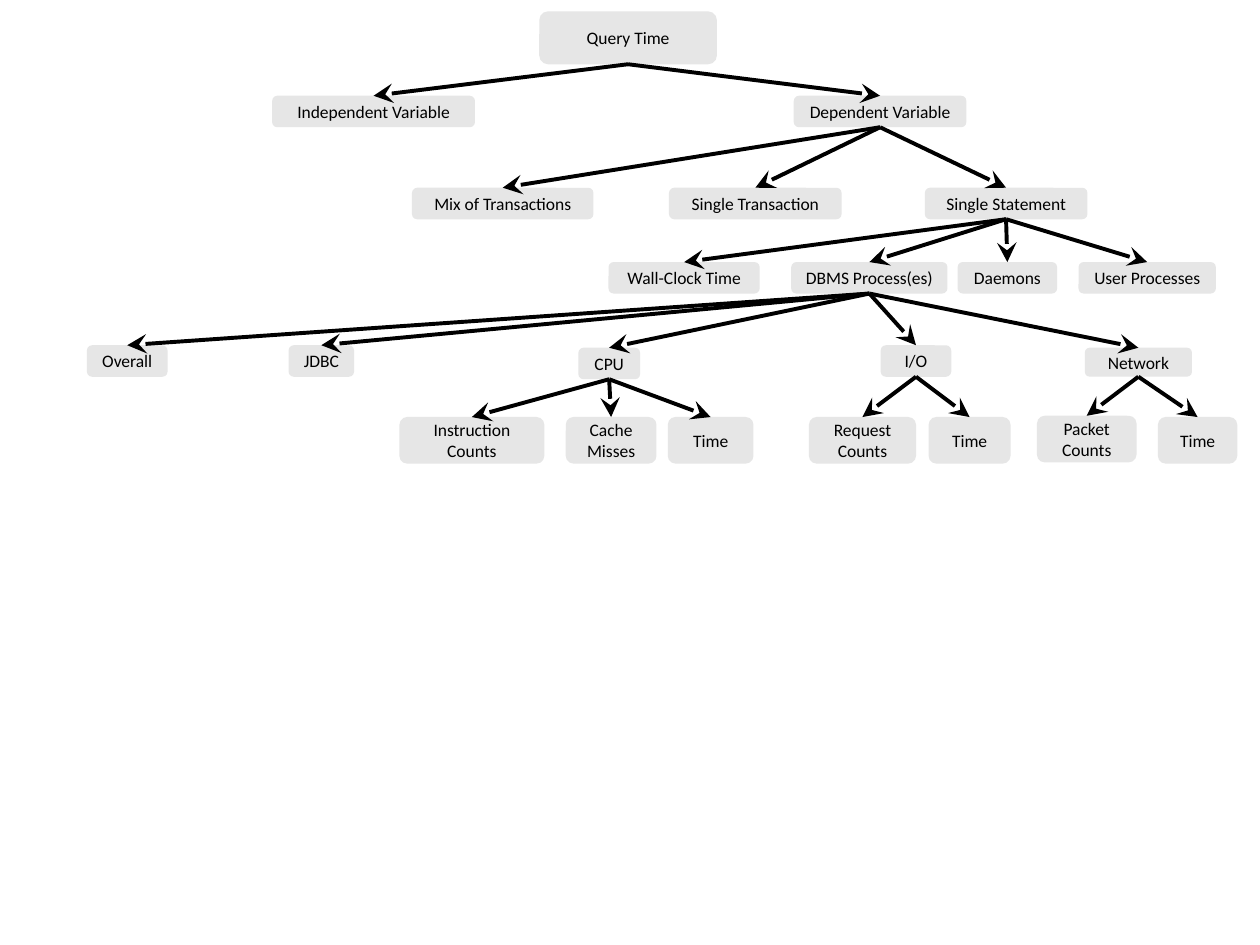
from pptx import Presentation
from pptx.util import Inches, Pt
from pptx.dml.color import RGBColor
from pptx.enum.shapes import MSO_SHAPE as Shape, MSO_CONNECTOR as Link
from pptx.enum.text import PP_ALIGN as Align, MSO_ANCHOR as Anchor
from lxml.etree import SubElement

GREY = RGBColor(0xE6, 0xE6, 0xE6)
BLACK = RGBColor(0, 0, 0)
FONT = {"name": "Calibri", "size": Pt(10)}
FRAME = {"word_wrap": False, "vertical_anchor": Anchor.MIDDLE}
HEAD = {"type": "stealth", "w": "lg", "len": "lg"}
TOP, BOTTOM = 0, 2  # connection sites of a rounded box

# Top and height of each level of the tree
ROWS = [(0.09, 0.42), (0.76, 0.25), (1.49, 0.25),
        (2.08, 0.25), (2.74, 0.25), (3.31, 0.37)]
# Boxes that sit a little off their row
SHIFT = {"CPU": (2.76, 0.25), "Network": (2.76, 0.23),
         "Packet\nCounts": (3.3, 0.37)}

# Each node: text, left, width, children
TREE = ("Query Time", 4.28, 1.41, [
    ("Independent Variable", 2.16, 1.61, []),
    ("Dependent Variable", 6.3, 1.37, [
        ("Mix of Transactions", 3.27, 1.44, []),
        ("Single Transaction", 5.31, 1.37, []),
        ("Single Statement", 7.34, 1.29, [
            ("Wall-Clock Time", 4.83, 1.2, []),
            ("DBMS Process(es)", 6.28, 1.24, [
                ("Overall", 0.69, 0.64, []),
                ("JDBC", 2.29, 0.52, []),
                ("CPU", 4.59, 0.49, [
                    ("Instruction\nCounts", 3.17, 1.15, []),
                    ("Cache\nMisses", 4.49, 0.72, []),
                    ("Time", 5.3, 0.68, [])]),
                ("I/O", 6.99, 0.56, [
                    ("Request\nCounts", 6.42, 0.85, []),
                    ("Time", 7.37, 0.65, [])]),
                ("Network", 8.61, 0.85, [
                    ("Packet\nCounts", 8.23, 0.79, []),
                    ("Time", 9.19, 0.63, [])])]),
            ("Daemons", 7.6, 0.79, []),
            ("User Processes", 8.56, 1.09, [])])])])


def style(item, values):
    """Set each attribute of item from a dict."""
    for name, value in values.items():
        setattr(item, name, value)


def add_box(text, left, top, width, height):
    """Draw one grey rounded box with its text."""
    box = slide.shapes.add_shape(
        Shape.ROUNDED_RECTANGLE,
        *(Inches(n) for n in (left, top, width, height)))
    box.shadow.inherit = False
    box.fill.solid()
    box.fill.fore_color.rgb = GREY
    box.line.fill.background()
    frame = box.text_frame
    style(frame, FRAME)
    frame.text = text
    for para in frame.paragraphs:
        para.alignment = Align.CENTER
        for run in para.runs:
            style(run.font, FONT)
            run.font.color.rgb = BLACK
    return box


def add_arrow(start, end):
    """Join the bottom of start to the top of end."""
    arrow = slide.shapes.add_connector(Link.STRAIGHT, 0, 0, 0, 0)
    arrow.begin_connect(start, BOTTOM)
    arrow.end_connect(end, TOP)
    arrow.line.width = Pt(2.25)
    arrow.line.color.rgb = BLACK
    line = arrow.line._get_or_add_ln()
    space = line.tag.split("}")[0] + "}"
    SubElement(line, space + "tailEnd", HEAD)
    SubElement(line.getparent(), space + "effectLst")


def grow(node, level=0):
    """Draw a node and its subtree; return its box and all links."""
    text, left, width, kids = node
    top, height = SHIFT.get(text, ROWS[level])
    box = add_box(text, left, top, width, height)
    links = []
    for kid in kids:
        child, below = grow(kid, level + 1)
        links += [(box, child)] + below
    return box, links


deck = Presentation()
deck.slide_width, deck.slide_height = Inches(10), Inches(7.5)
slide = deck.slides.add_slide(deck.slide_layouts[6])
root, links = grow(TREE)
for start, end in links:
    add_arrow(start, end)
deck.save("out.pptx")
